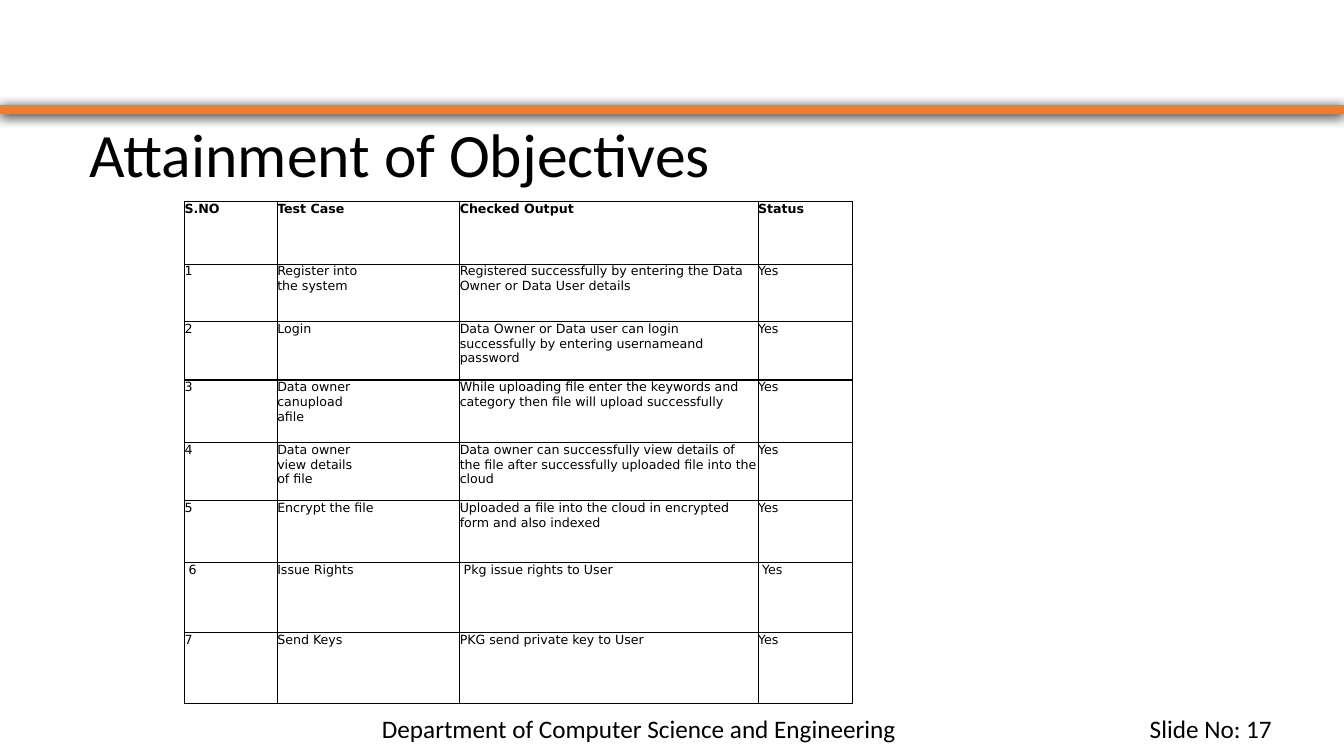
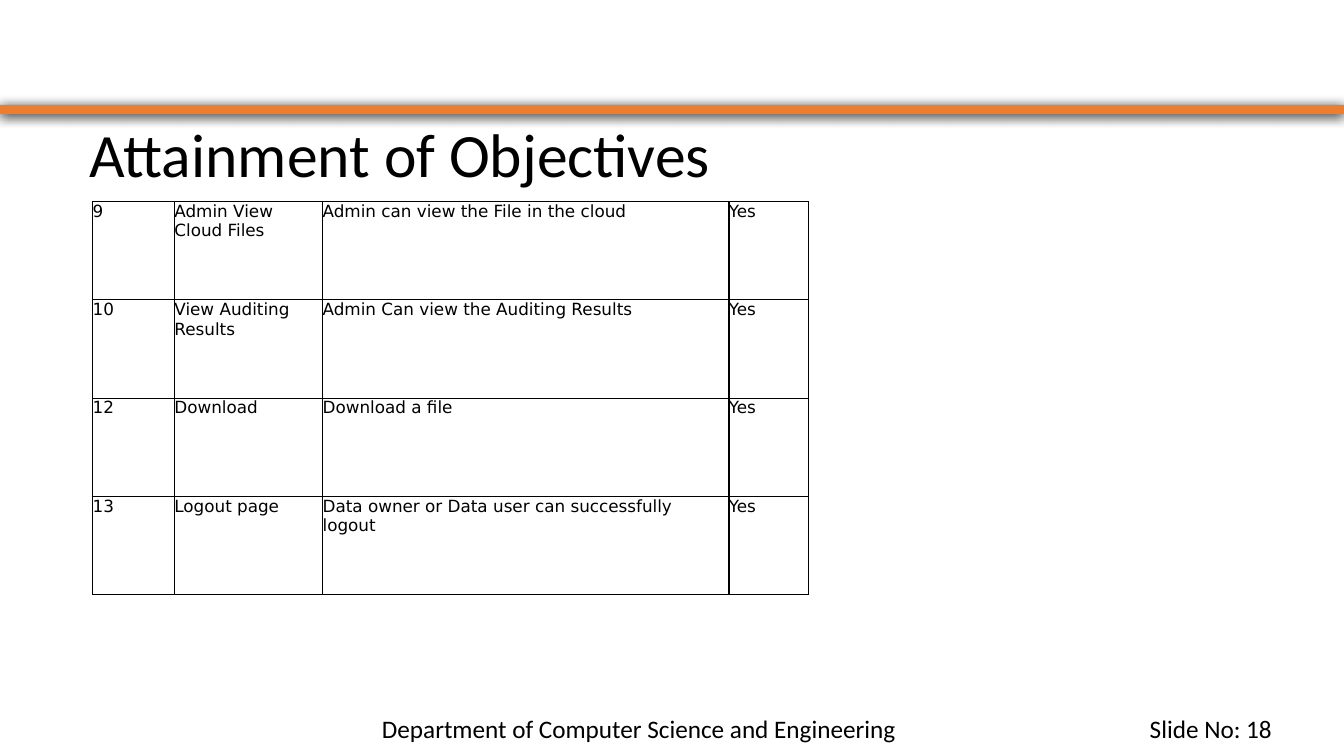
"""Build two slides listing test cases and their status."""
from lxml.etree import SubElement
from pptx import Presentation
from pptx.dml.color import RGBColor
from pptx.enum.shapes import MSO_SHAPE as SHAPE
from pptx.enum.text import PP_ALIGN as ALIGN
from pptx.oxml.ns import qn
from pptx.util import Inches, Pt

W, H = Inches(13.33), Inches(7.5)
ORANGE = RGBColor(0xED, 0x7D, 0x31)
BLACK = RGBColor(0, 0, 0)
BODY_FONT, TABLE_FONT = "Calibri", "DejaVu Sans"
TABLE_TOP = 26.67
SIDES = ("L", "R", "T", "B")

FIRST_CASES = [
    ("S.NO", "Test Case", "Checked Output", "Status"),
    ("1", "Register into the system",
     "Registered successfully by entering the Data Owner or Data User details", "Yes"),
    ("2", "Login",
     "Data Owner or Data user can login successfully by entering usernameand password", "Yes"),
    ("3", "Data owner canupload afile",
     "While uploading file enter the keywords and category then file will upload successfully",
     "Yes"),
    ("4", "Data owner view details of file",
     "Data owner can successfully view details of the file after successfully uploaded file "
     "into the cloud", "Yes"),
    ("5", "Encrypt the file",
     "Uploaded a file into the cloud in encrypted form and also indexed", "Yes"),
    (" 6", "Issue Rights", " Pkg issue rights to User", " Yes"),
    ("7", "Send Keys", "PKG send private key to User", "Yes"),
]
MERGED_ROWS = (2, 5, 6, 7)
LAST_CASES = [
    ("9", "Admin View Cloud Files", "Admin can view the File in the cloud", "Yes"),
    ("10", "View Auditing Results", "Admin Can view the Auditing Results", "Yes"),
    ("12", "Download", "Download a file", "Yes"),
    ("13", "Logout page", "Data owner or Data user can successfully logout", "Yes"),
]


def across(share):
    return int(W * share / 100)


def down(share):
    return int(H * share / 100)


def box(x, y, w, h):
    return across(x), down(y), across(w), down(h)


def style(p, font, size, bold=False):
    p.font.name, p.font.size, p.font.bold = font, Pt(size), bold
    p.font.color.rgb = BLACK


def add_text(slide, area, text, size):
    tf = slide.shapes.add_textbox(*area).text_frame
    tf.word_wrap = True
    p = tf.paragraphs[0]
    p.text = text
    style(p, BODY_FONT, size)
    return p


def add_band(slide):
    sp = slide.shapes.add_shape(SHAPE.RECTANGLE, *box(0, 13.87, 100, 1.2))
    sp.fill.solid()
    sp.fill.fore_color.rgb = ORANGE
    sp.line.fill.background()
    sp.shadow.inherit = False
    effects = sp._element.spPr.find(qn("a:effectLst"))
    shadow = SubElement(effects, qn("a:outerShdw"), blurRad=str(Pt(8.5)),
                        dist=str(Pt(1)), dir="5400000", rotWithShape="0")
    SubElement(shadow, qn("a:srgbClr"), val=str(BLACK))


def add_title(slide, text):
    p = add_text(slide, box(0, 15.73, 59.55, 10.67), text, 44)
    p.alignment, p.line_spacing, p.space_before = ALIGN.CENTER, 0.9, Pt(10)


def add_footer(slide, number):
    text = f"\tDepartment of Computer Science and Engineering\tSlide No: {number}"
    p = add_text(slide, box(0, 93.73, 100, 5.33), text, 18)
    tabs = SubElement(p._p.get_or_add_pPr(), qn("a:tabLst"))
    for share, algn in ((46.8, "ctr"), (93.9, "r")):
        SubElement(tabs, qn("a:tab"), pos=str(across(share)), algn=algn)
    p._p.pPr.insert(0, tabs)


def set_borders(cell, hidden=""):
    tcPr = cell._tc.get_or_add_tcPr()
    for side in SIDES:
        ln = SubElement(tcPr, qn(f"a:ln{side}"), w=str(Pt(1)))
        if side == hidden:
            SubElement(ln, qn("a:noFill"))
        else:
            fill = SubElement(ln, qn("a:solidFill"))
            SubElement(fill, qn("a:srgbClr"), val=str(BLACK))


def add_table(slide, left, widths, heights, rows, size, hidden=None):
    area = box(left, TABLE_TOP, sum(widths), sum(heights))
    table = slide.shapes.add_table(len(heights), len(widths), *area).table
    table.first_row = table.horz_banding = False
    for column, width in zip(table.columns, widths):
        column.width = across(width)
    for row, height, texts in zip(table.rows, heights, rows):
        row.height = down(height)
        for c, (cell, text) in enumerate(zip(row.cells, texts)):
            cell.margin_left = cell.margin_right = cell.margin_top = cell.margin_bottom = 0
            set_borders(cell, (hidden or {}).get(c, ""))
            cell.fill.background()
            p = cell.text_frame.paragraphs[0]
            p.text = text
            style(p, TABLE_FONT, size, text in FIRST_CASES[0])
    return table


def add_first_cases(slide):
    widths = (6.9, 6.45, 7.13, 22.2, 7.05)
    heights = (8.27, 7.6, 7.73, 8.27, 7.73, 8.13, 9.33, 9.33)
    rows = [(no, case, "", output, status) for no, case, output, status in FIRST_CASES]
    table = add_table(slide, 13.73, widths, heights, rows, 9, {1: "R", 2: "L"})
    for r in MERGED_ROWS:
        table.cell(r, 1).merge(table.cell(r, 2))


def add_last_cases(slide):
    heights = [13] * len(LAST_CASES)
    add_table(slide, 6.9, (6.08, 11.03, 30.23, 5.93), heights, LAST_CASES, 12)


def main():
    prs = Presentation()
    prs.slide_width, prs.slide_height = W, H
    for number, add_cases in enumerate((add_first_cases, add_last_cases), 17):
        slide = prs.slides.add_slide(prs.slide_layouts[6])
        add_band(slide)
        add_footer(slide, number)
        add_title(slide, "Attainment of Objectives")
        add_cases(slide)
    prs.save("out.pptx")


if __name__ == "__main__":
    main()
